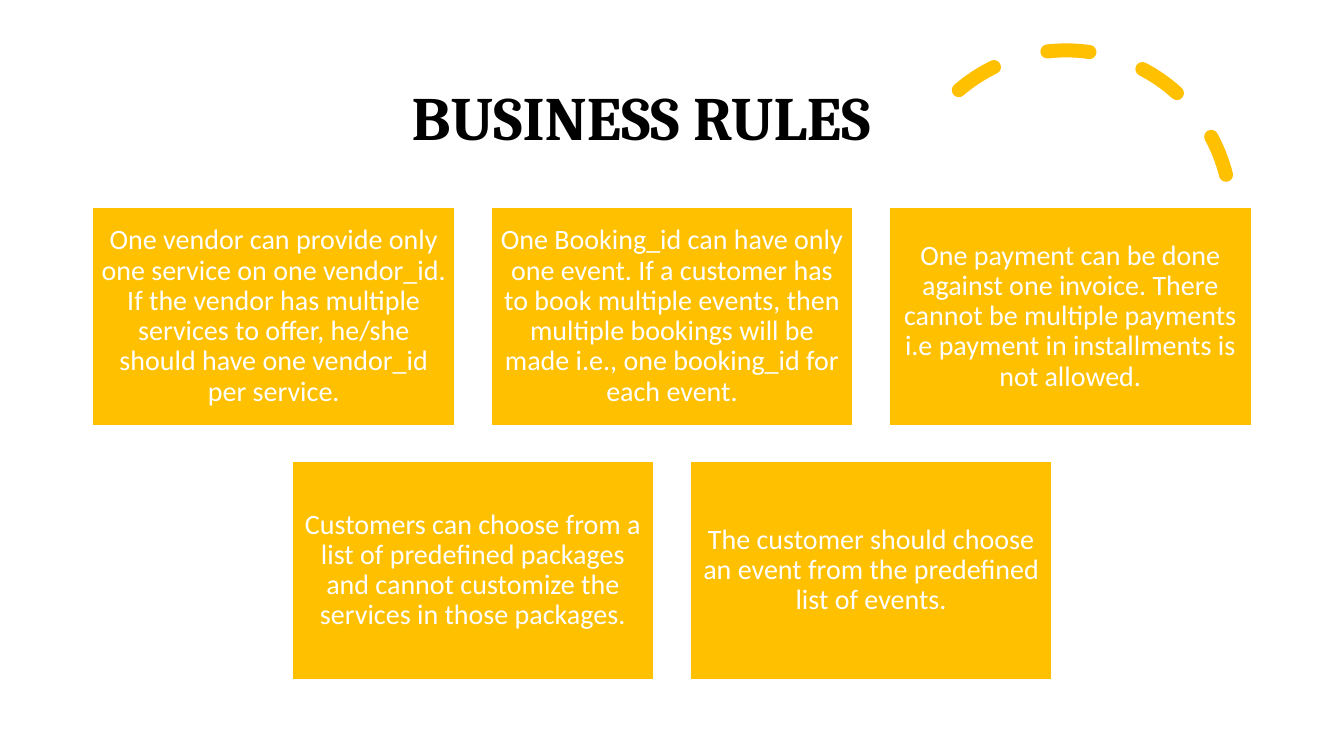
"""Build the business rules slide: a title, a dashed arc and centred rows of rule boxes."""
from dataclasses import dataclass
from typing import Any

from pptx import Presentation
from pptx.dml.color import RGBColor
from pptx.enum.dml import MSO_LINE
from pptx.enum.shapes import MSO_SHAPE
from pptx.enum.text import MSO_ANCHOR, MSO_AUTO_SIZE, PP_ALIGN
from pptx.oxml.ns import qn
from pptx.util import Inches, Pt

COLORS = {"accent": "FFC000", "paper": "FFFFFF", "heading": "000000"}
SLIDE_WIDTH, SLIDE_HEIGHT = 13.33, 7.5
BOX_WIDTH, BOX_HEIGHT, GAP = 3.59, 2.16, 0.36
FIRST_ROW_TOP = 2.06

BOX_FRAME = {
    "word_wrap": True,
    "auto_size": MSO_AUTO_SIZE.NONE,
    "vertical_anchor": MSO_ANCHOR.MIDDLE,
    "margin_left": Inches(0.08),
    "margin_right": Inches(0.08),
    "margin_top": Inches(0.08),
    "margin_bottom": Inches(0.08),
}
TITLE_FRAME = {
    "word_wrap": True,
    "auto_size": MSO_AUTO_SIZE.NONE,
    "vertical_anchor": MSO_ANCHOR.MIDDLE,
}
PARAGRAPH = {"alignment": PP_ALIGN.CENTER, "line_spacing": 0.9}
TITLE_FONT = {"name": "Cambria", "size": Pt(44), "bold": True}
RULE_FONT = {"name": "Calibri", "size": Pt(20), "bold": False}


@dataclass(frozen=True)
class Rule:
    row: int
    column: int
    text: str


RULES = [
    Rule(0, 0, "One vendor can provide only one service on one vendor_id. If the vendor has "
               "multiple services to offer, he/she should have one vendor_id per service."),
    Rule(0, 1, "One Booking_id can have only one event. If a customer has to book multiple "
               "events, then multiple bookings will be made i.e., one booking_id for each event."),
    Rule(0, 2, "One payment can be done against one invoice. There cannot be multiple payments "
               "i.e payment in installments is not allowed."),
    Rule(1, 0, "Customers can choose from a list of predefined packages and cannot customize "
               "the services in those packages."),
    Rule(1, 1, "The customer should choose an event from the predefined list of events."),
]


def color(name: str) -> RGBColor:
    return RGBColor.from_string(COLORS[name])


def apply(target: Any, values: dict[str, Any]) -> None:
    for attribute, value in values.items():
        setattr(target, attribute, value)


def write(holder: Any, text: str, frame: dict[str, Any], font: dict[str, Any], ink: str) -> None:
    apply(holder.text_frame, frame)
    paragraph = holder.text_frame.paragraphs[0]
    apply(paragraph, PARAGRAPH)
    run = paragraph.add_run()
    run.text = text
    apply(run.font, font)
    run.font.color.rgb = color(ink)


def draw_arc(slide: Any) -> None:
    arc = slide.shapes.add_shape(
        MSO_SHAPE.ARC, Inches(8.94), Inches(0.5), Inches(3.27), Inches(3.27))
    arc.adjustments[0], arc.adjustments[1] = 146.13, 0
    arc.rotation = 345.8
    arc.shadow.inherit = False
    arc.fill.background()
    arc.line.color.rgb = color("accent")
    apply(arc.line, {"width": Pt(10), "dash_style": MSO_LINE.DASH})
    arc.element.spPr.find(qn("a:ln")).set("cap", "rnd")


def draw_rule(slide: Any, rule: Rule) -> None:
    row_count = sum(other.row == rule.row for other in RULES)
    row_width = row_count * (BOX_WIDTH + GAP) - GAP
    left = (SLIDE_WIDTH - row_width) / 2 + rule.column * (BOX_WIDTH + GAP)
    top = FIRST_ROW_TOP + rule.row * (BOX_HEIGHT + GAP)
    box = slide.shapes.add_shape(
        MSO_SHAPE.RECTANGLE, Inches(left), Inches(top), Inches(BOX_WIDTH), Inches(BOX_HEIGHT))
    box.shadow.inherit = False
    box.fill.solid()
    box.fill.fore_color.rgb = color("accent")
    box.line.color.rgb = color("paper")
    box.line.width = Pt(1)
    write(box, rule.text, BOX_FRAME, RULE_FONT, "paper")


def main() -> None:
    presentation = Presentation()
    apply(presentation, {"slide_width": Inches(SLIDE_WIDTH), "slide_height": Inches(SLIDE_HEIGHT)})
    slide = presentation.slides.add_slide(presentation.slide_layouts[5])
    heading = slide.shapes.title
    apply(heading, {"left": Inches(0.61), "top": Inches(0.47),
                    "width": Inches(11.5), "height": Inches(1.45)})
    write(heading, "BUSINESS RULES", TITLE_FRAME, TITLE_FONT, "heading")
    draw_arc(slide)
    for rule in RULES:
        draw_rule(slide, rule)
    presentation.save("out.pptx")


if __name__ == "__main__":
    main()
